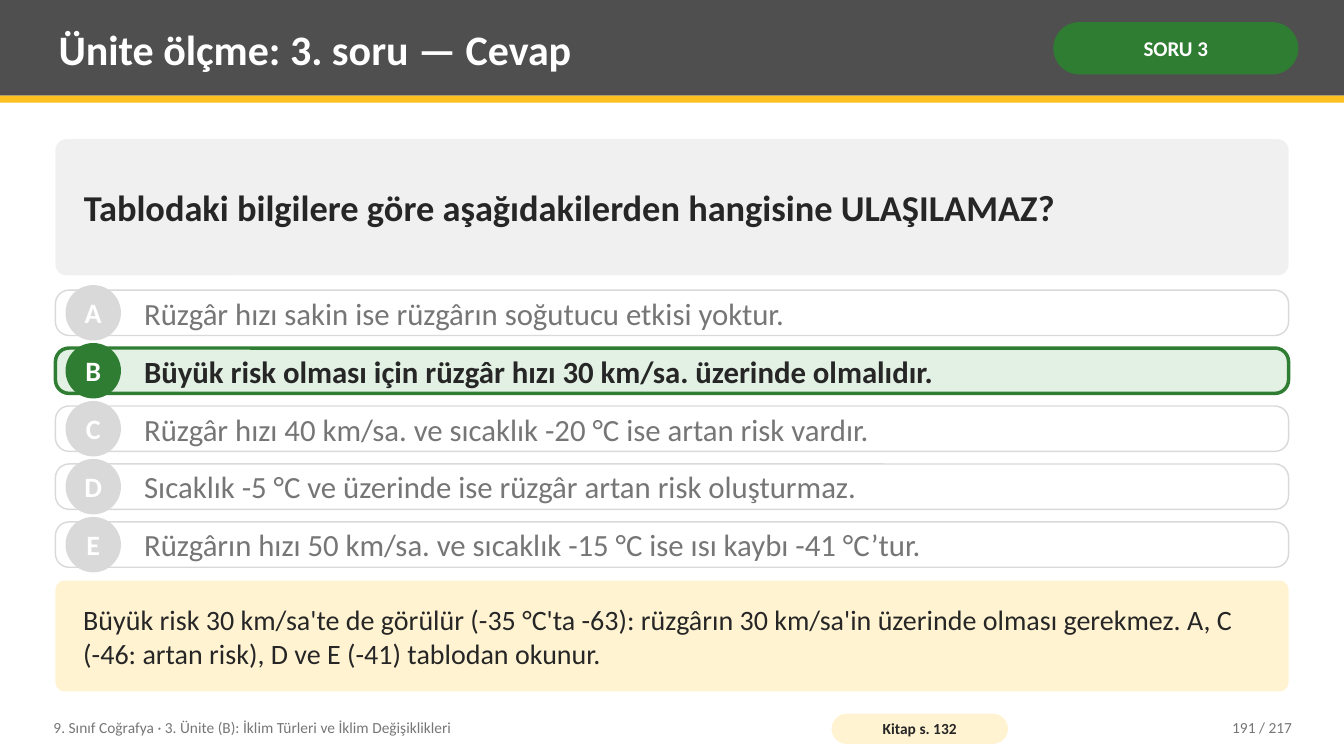
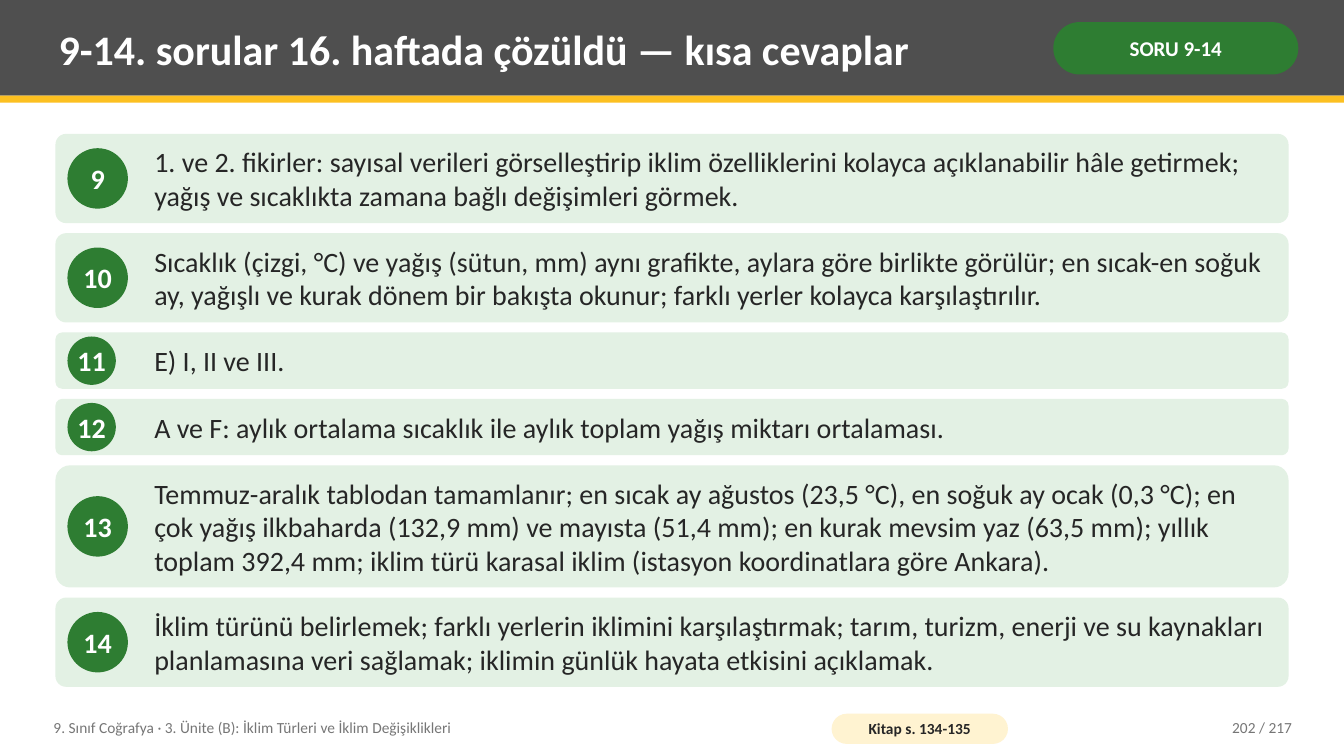
from dataclasses import dataclass

from pptx import Presentation
from pptx.dml.color import RGBColor
from pptx.enum.shapes import MSO_SHAPE as Shape, PP_PLACEHOLDER as Holder
from pptx.enum.text import MSO_ANCHOR as Anchor, MSO_AUTO_SIZE as AutoSize, PP_ALIGN as Align
from pptx.util import Pt


@dataclass(frozen=True)
class Theme:
    """Colours, type sizes and page measures shared by the slides."""
    font: str = "Calibri"
    white: str = "FFFFFF"
    ink: str = "262626"
    muted: str = "767676"
    band: str = "4F4F4F"
    gold: str = "FCC021"
    green: str = "2E7D32"
    mint: str = "E3F1E4"
    cream: str = "FFF3D1"
    panel: str = "F0F0F0"
    grey: str = "D9D9D9"
    title_size: int = 30
    question_size: int = 26
    option_size: int = 22
    body_size: int = 20
    badge_size: int = 15
    footer_size: int = 11
    width: float = 960
    height: float = 540
    margin: float = 39.6
    text_width: float = 808.6


THEME = Theme()
CONTENT_WIDTH = THEME.width - 2 * THEME.margin
TEXT_INSETS = (5.8, 2.9)
PANEL_INSETS = (18, 5.8)
FOOTER = "9. Sınıf Coğrafya · 3. Ünite (B): İklim Türleri ve İklim Değişiklikleri"
PAGE_COUNT = 217

OPTIONS = [
    ("A", "Rüzgâr hızı sakin ise rüzgârın soğutucu etkisi yoktur."),
    ("B", "Büyük risk olması için rüzgâr hızı 30 km/sa. üzerinde olmalıdır."),
    ("C", "Rüzgâr hızı 40 km/sa. ve sıcaklık -20 °C ise artan risk vardır."),
    ("D", "Sıcaklık -5 °C ve üzerinde ise rüzgâr artan risk oluşturmaz."),
    ("E", "Rüzgârın hızı 50 km/sa. ve sıcaklık -15 °C ise ısı kaybı -41 °C’tur."),
]
EXPLANATION = (
    "Büyük risk 30 km/sa'te de görülür (-35 °C'ta -63): rüzgârın 30 km/sa'in üzerinde "
    "olması gerekmez. A, C (-46: artan risk), D ve E (-41) tablodan okunur."
)
ANSWERS = [
    ("9", 2, "1. ve 2. fikirler: sayısal verileri görselleştirip iklim özelliklerini kolayca "
     "açıklanabilir hâle getirmek; yağış ve sıcaklıkta zamana bağlı değişimleri görmek."),
    ("10", 2, "Sıcaklık (çizgi, °C) ve yağış (sütun, mm) aynı grafikte, aylara göre birlikte "
     "görülür; en sıcak-en soğuk ay, yağışlı ve kurak dönem bir bakışta okunur; farklı yerler "
     "kolayca karşılaştırılır."),
    ("11", 1, "E) I, II ve III."),
    ("12", 1, "A ve F: aylık ortalama sıcaklık ile aylık toplam yağış miktarı ortalaması."),
    ("13", 3, "Temmuz-aralık tablodan tamamlanır; en sıcak ay ağustos (23,5 °C), en soğuk ay "
     "ocak (0,3 °C); en çok yağış ilkbaharda (132,9 mm) ve mayısta (51,4 mm); en kurak mevsim "
     "yaz (63,5 mm); yıllık toplam 392,4 mm; iklim türü karasal iklim (istasyon koordinatlara "
     "göre Ankara)."),
    ("14", 2, "İklim türünü belirlemek; farklı yerlerin iklimini karşılaştırmak; tarım, turizm, "
     "enerji ve su kaynakları planlamasına veri sağlamak; iklimin günlük hayata etkisini "
     "açıklamak."),
]


def points(*lengths):
    """Turn plain numbers into point lengths."""
    return [Pt(length) for length in lengths]


def write(box, text, size, color, bold=False, align=Align.LEFT, insets=TEXT_INSETS, wrap=True):
    """Put one formatted, vertically centred paragraph into a box."""
    frame = box.text_frame
    frame.auto_size = AutoSize.NONE
    frame.word_wrap = wrap
    frame.vertical_anchor = Anchor.MIDDLE
    frame.margin_left = frame.margin_right = Pt(insets[0])
    frame.margin_top = frame.margin_bottom = Pt(insets[1])
    para = frame.paragraphs[0]
    para.text = text
    para.alignment = align
    para.font.name = THEME.font
    para.font.size = Pt(size)
    para.font.bold = bold
    para.font.color.rgb = RGBColor.from_string(color)


def add_block(page, kind, place, fill, radius=None, line=None):
    """Add a filled preset shape; line is a colour and a width."""
    block = page.shapes.add_shape(kind, *points(*place))
    block.shadow.inherit = False
    block.fill.solid()
    block.fill.fore_color.rgb = RGBColor.from_string(fill)
    if radius is not None:
        block.adjustments[0] = radius
    if line:
        block.line.color.rgb = RGBColor.from_string(line[0])
        block.line.width = Pt(line[1])
    else:
        block.line.fill.background()
    return block


def add_rounded(page, place, fill, radius, line=None):
    """Add a rounded rectangle."""
    return add_block(page, Shape.ROUNDED_RECTANGLE, place, fill, radius, line)


def add_text(page, place, text, size, color, **style):
    """Add a text box."""
    box = page.shapes.add_textbox(*points(*place))
    write(box, text, size, color, **style)
    return box


def add_disc(page, left, middle, diameter, label, fill):
    """Add a labelled circle centred on a height."""
    place = (left, middle - diameter / 2, diameter, diameter)
    disc = add_block(page, Shape.OVAL, place, fill)
    write(disc, label, THEME.body_size, THEME.white, bold=True, align=Align.CENTER,
          insets=(0, 0), wrap=False)


def clear_layout(layout):
    """Keep only the title placeholder of the layout."""
    for holder in list(layout.placeholders):
        if holder.placeholder_format.type != Holder.TITLE:
            holder.element.getparent().remove(holder.element)


def dress_layout(layout, page):
    """Draw the shared bands and footer, and move them to the layout."""
    shared = [
        add_block(page, Shape.RECTANGLE, (0, 0, THEME.width, 68.4), THEME.band),
        add_block(page, Shape.RECTANGLE, (0, 68.4, THEME.width, 5), THEME.gold),
        add_text(page, (32.4, 506.9, 547.2, 25.9), FOOTER, THEME.footer_size, THEME.muted),
    ]
    tree = layout.element.cSld.spTree
    for index, shape in enumerate(shared, start=2):
        tree.insert(index, shape.element)


def add_frame(page, title, badge, source, number):
    """Fill in the title, badge, book reference and page number."""
    heading = page.shapes.title
    heading.left, heading.top, heading.width, heading.height = points(36, 5, 702, 59)
    write(heading, title, THEME.title_size, THEME.white, bold=True)
    pill = add_rounded(page, (752.4, 15.8, 175, 37.4), THEME.green, 0.5)
    write(pill, badge, THEME.badge_size, THEME.white, bold=True, align=Align.CENTER,
          insets=(3.6, 1.4))
    tag = add_rounded(page, (594, 509.8, 126, 21.6), THEME.cream, 0.5)
    write(tag, source, THEME.footer_size, THEME.ink, bold=True, align=Align.CENTER,
          insets=(2.9, 0))
    add_text(page, (813.6, 506.9, 115.2, 25.9), f"{number} / {PAGE_COUNT}",
             THEME.footer_size, THEME.muted, align=Align.RIGHT)


def add_panel(page, top, height, fill, text, size, bold=False):
    """Add a full-width panel of text."""
    panel = add_rounded(page, (THEME.margin, top, CONTENT_WIDTH, height), fill, 0.08)
    write(panel, text, size, THEME.ink, bold=bold, insets=PANEL_INSETS)


def add_options(page, top, correct):
    """Stack the answer options and highlight the correct one."""
    height, pitch = 32.4, 41.4
    for index, (letter, text) in enumerate(OPTIONS):
        right = letter == correct
        row = top + index * pitch
        accent = THEME.green if right else THEME.grey
        add_rounded(page, (THEME.margin, row, CONTENT_WIDTH, height),
                    THEME.mint if right else THEME.white, 0.3, (accent, 2.5 if right else 1))
        add_disc(page, 46.8, row + height / 2, 39.6, letter, accent)
        add_text(page, (97.2, row, THEME.text_width, height), text, THEME.option_size,
                 THEME.ink if right else THEME.muted, bold=right)


def add_answers(page, top):
    """Stack the numbered answers, each as tall as its lines need."""
    padding, line_height, gap = 16.75, 23.5, 7.2
    for number, lines, text in ANSWERS:
        height = padding + lines * line_height
        add_rounded(page, (THEME.margin, top, CONTENT_WIDTH, height), THEME.mint, 0.12)
        add_disc(page, 48.2, top + height / 2, min(43.2, height - 5.7), number, THEME.green)
        add_text(page, (104.4, top, THEME.text_width, height), text, THEME.body_size, THEME.ink)
        top += height + gap


def main():
    """Build and save the deck."""
    deck = Presentation()
    deck.slide_width, deck.slide_height = points(THEME.width, THEME.height)
    layout = deck.slide_layouts[5]
    clear_layout(layout)

    question = deck.slides.add_slide(layout)
    dress_layout(layout, question)
    add_frame(question, "Ünite ölçme: 3. soru — Cevap", "SORU 3", "Kitap s. 132", 191)
    add_panel(question, 99.4, 97.2, THEME.panel,
              "Tablodaki bilgilere göre aşağıdakilerden hangisine ULAŞILAMAZ?",
              THEME.question_size, bold=True)
    add_options(question, 207.2, "B")
    add_panel(question, 414.7, 79.2, THEME.cream, EXPLANATION, THEME.body_size)

    summary = deck.slides.add_slide(layout)
    add_frame(summary, "9-14. sorular 16. haftada çözüldü — kısa cevaplar", "SORU 9-14",
              "Kitap s. 134-135", 202)
    add_answers(summary, 95.6)

    deck.save("out.pptx")


if __name__ == "__main__":
    main()
